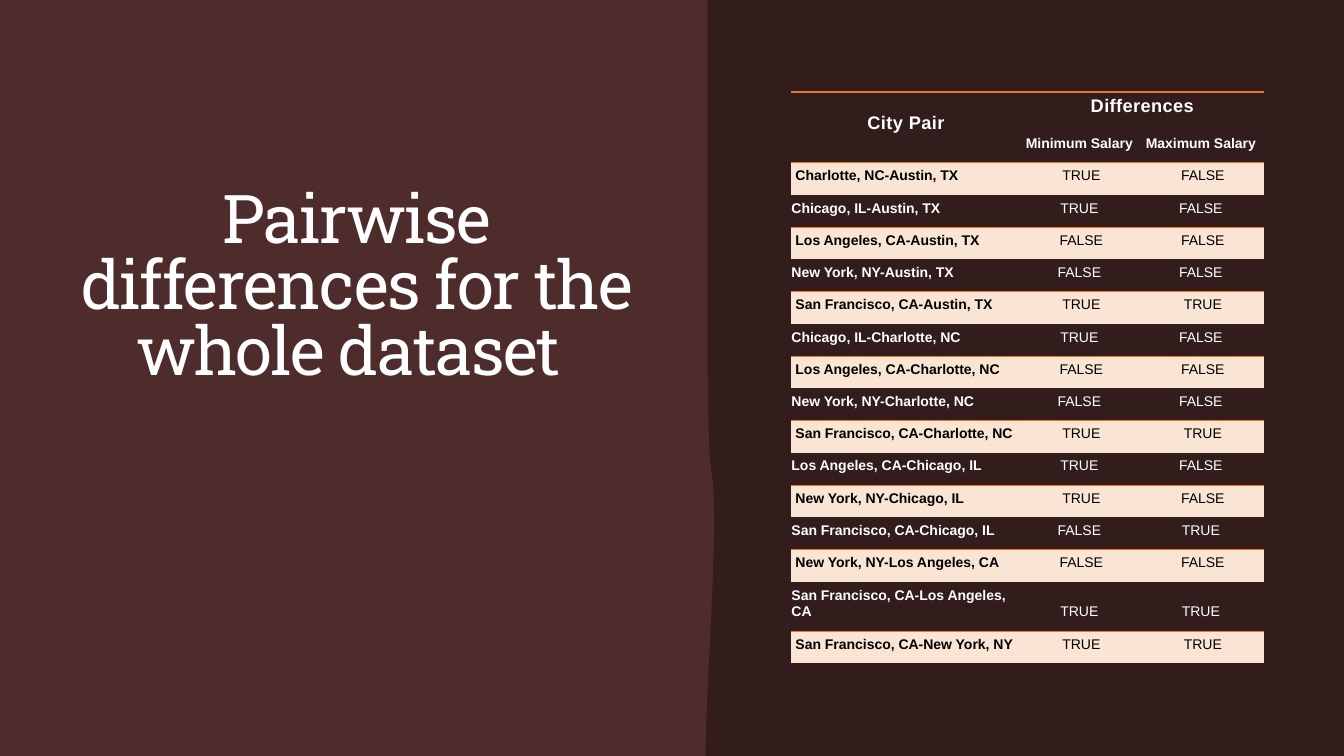
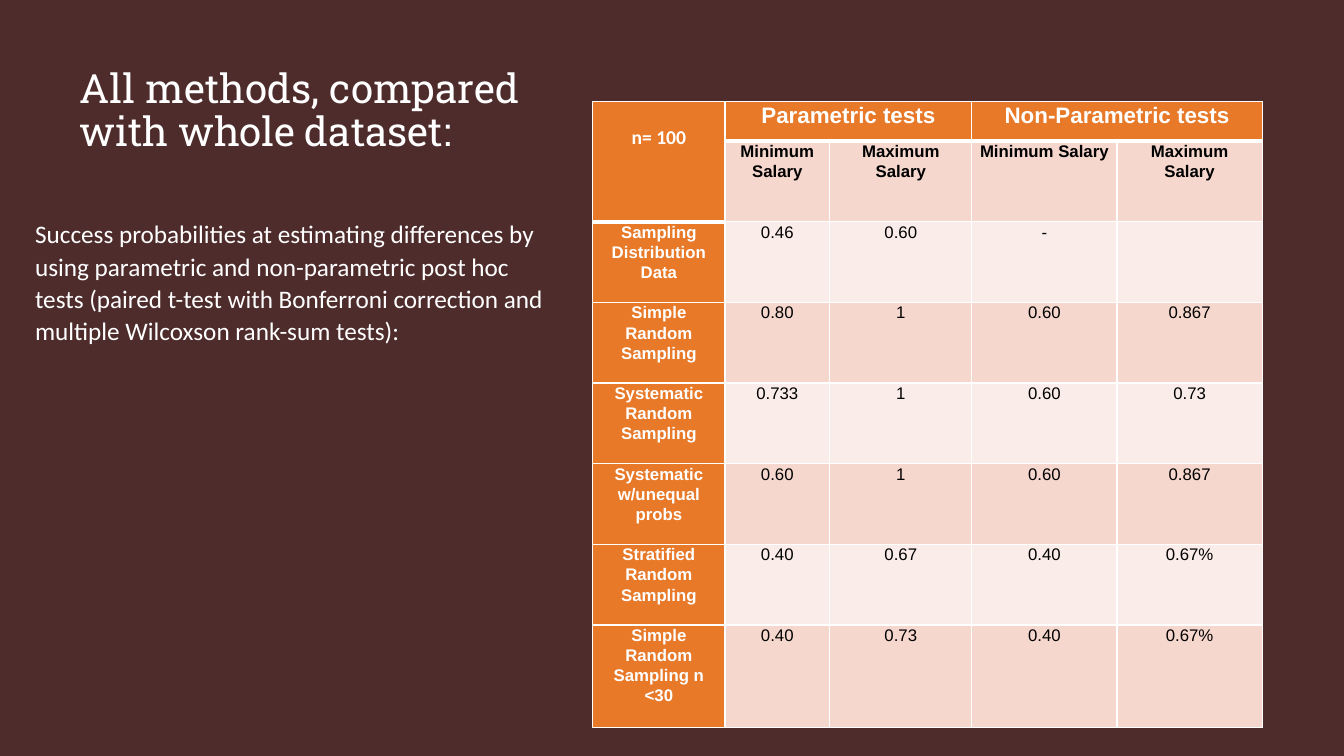
from lxml.etree import SubElement
from pptx import Presentation
from pptx.dml.color import RGBColor
from pptx.enum.text import MSO_ANCHOR, MSO_AUTO_SIZE, PP_ALIGN
from pptx.oxml.ns import qn
from pptx.util import Inches, Pt

COLORS = {
    "base": "4E2C2C",
    "dark": "321C1C",
    "white": "FFFFFF",
    "black": "000000",
    "orange": "E77929",
    "cream": "FAE4D4",
    "rose": "F6D7CD",
    "blush": "FAECE8",
}
NO_STYLE = "{2D5ABB26-0587-4C30-8999-92F81FD0307C}"
SIDES = ("L", "R", "T", "B")


def style_text(tf, text, size, color="white", font="Arial", bold=False,
               align=PP_ALIGN.LEFT, spacing=1.07, track=0):
    tf.text = text
    tf.word_wrap = True
    p = tf.paragraphs[0]
    p.alignment = align
    p.line_spacing = spacing
    for r in p.runs:
        r.font.size = Pt(size)
        r.font.name = font
        r.font.bold = bold
        r.font.color.rgb = RGBColor.from_string(COLORS[color])
        if track:
            r.font._element.set("spc", str(track))


def style_cell(cell, margins, anchor, borders, border_color, fill=None):
    cell.margin_left, cell.margin_top, cell.margin_right, cell.margin_bottom = map(Inches, margins)
    cell.vertical_anchor = anchor
    tcPr = cell._tc.get_or_add_tcPr()
    for side in SIDES:
        width = borders.get(side, 0)
        ln = SubElement(tcPr, qn(f"a:ln{side}"), w=str(Pt(width)))
        if width:
            line_fill = SubElement(ln, qn("a:solidFill"))
            SubElement(line_fill, qn("a:srgbClr"), val=COLORS[border_color])
        else:
            SubElement(ln, qn("a:noFill"))
    if fill:
        cell.fill.solid()
        cell.fill.fore_color.rgb = RGBColor.from_string(COLORS[fill])
    else:
        cell.fill.background()


prs = Presentation()
prs.slide_width = Inches(13.33)
prs.slide_height = Inches(7.5)
master_fill = prs.slide_master.background.fill
master_fill.solid()
master_fill.fore_color.rgb = RGBColor.from_string(COLORS["base"])

titles = [
    ("Pairwise differences for the whole dataset ", (0.79, 0.79, 5.49, 3.07),
     48, PP_ALIGN.CENTER, MSO_ANCHOR.BOTTOM, 0.82, -100),
    ("All methods, compared with whole dataset:", (0.79, 0.68, 4.93, 1.62),
     28.8, PP_ALIGN.LEFT, MSO_ANCHOR.TOP, 0.9, 0),
]
slides = []
for text, box, size, align, anchor, spacing, track in titles:
    s = prs.slides.add_slide(prs.slide_layouts[5])
    slides.append(s)
    title = s.shapes.title
    title.left, title.top, title.width, title.height = map(Inches, box)
    tf = title.text_frame
    style_text(tf, text, size, font="Roboto Slab", align=align, spacing=spacing, track=track)
    tf.auto_size = MSO_AUTO_SIZE.NONE
    tf.vertical_anchor = anchor
    tf.margin_left = tf.margin_top = tf.margin_right = tf.margin_bottom = 0

pairs_slide, methods_slide = slides

edge = [(13.33, 0), (13.33, 7.5), (7, 7.5), (7, 7.34)]
curves = [
    ((7, 7.34), (7.02, 6.53), (7.14, 5.06), (7.05, 4.64)),
    ((7.05, 4.64), (7, 4.29), (7.02, 2), (7.02, 0.24)),
]
steps = 16
for curve in curves:
    for i in range(1, steps + 1):
        t = i / steps
        weights = ((1 - t) ** 3, 3 * t * (1 - t) ** 2, 3 * t ** 2 * (1 - t), t ** 3)
        edge.append(tuple(sum(w * pt[axis] for w, pt in zip(weights, curve)) for axis in (0, 1)))
builder = pairs_slide.shapes.build_freeform(Inches(7.02), 0)
builder.add_line_segments([(Inches(x), Inches(y)) for x, y in edge], close=True)
panel = builder.convert_to_shape()
panel.shadow.inherit = False
panel.fill.solid()
panel.fill.fore_color.rgb = RGBColor.from_string(COLORS["dark"])
panel.line.fill.background()

pair_rows = [
    ("City Pair", "Differences", ""),
    ("", "Minimum Salary", "Maximum Salary"),
    ("Charlotte, NC-Austin, TX", "TRUE", "FALSE"),
    ("Chicago, IL-Austin, TX", "TRUE", "FALSE"),
    ("Los Angeles, CA-Austin, TX", "FALSE", "FALSE"),
    ("New York, NY-Austin, TX", "FALSE", "FALSE"),
    ("San Francisco, CA-Austin, TX", "TRUE", "TRUE"),
    ("Chicago, IL-Charlotte, NC", "TRUE", "FALSE"),
    ("Los Angeles, CA-Charlotte, NC", "FALSE", "FALSE"),
    ("New York, NY-Charlotte, NC", "FALSE", "FALSE"),
    ("San Francisco, CA-Charlotte, NC", "TRUE", "TRUE"),
    ("Los Angeles, CA-Chicago, IL", "TRUE", "FALSE"),
    ("New York, NY-Chicago, IL", "TRUE", "FALSE"),
    ("San Francisco, CA-Chicago, IL", "FALSE", "TRUE"),
    ("New York, NY-Los Angeles, CA", "FALSE", "FALSE"),
    ("San Francisco, CA-Los Angeles, CA", "TRUE", "TRUE"),
    ("San Francisco, CA-New York, NY", "TRUE", "TRUE"),
]
method_rows = [
    ("n= 100", "Parametric tests", "", "Non-Parametric tests", ""),
    ("", "Minimum Salary", "Maximum Salary", "Minimum Salary", "Maximum Salary"),
    ("Sampling Distribution Data", "0.46", "0.60", "-", ""),
    ("Simple Random Sampling", "0.80", "1", "0.60", "0.867"),
    ("Systematic Random Sampling", "0.733", "1", "0.60", "0.73"),
    ("Systematic w/unequal probs", "0.60", "1", "0.60", "0.867"),
    ("Stratified Random Sampling", "0.40", "0.67", "0.40", "0.67%"),
    ("Simple Random Sampling n <30", "0.40", "0.73", "0.40", "0.67%"),
]
table_specs = [
    (pairs_slide, pair_rows, (7.85, 0.91), (2.28, 1.19, 1.22),
     [0.37] + [0.32] * 14 + [0.49, 0.32]),
    (methods_slide, method_rows, (5.88, 1.01), (1.31, 1.04, 1.41, 1.44, 1.44),
     [0.39] + [0.8] * 6 + [1.02]),
]
tables = []
for s, rows, (left, top), widths, heights in table_specs:
    frame = s.shapes.add_table(len(rows), len(widths), Inches(left), Inches(top),
                               Inches(sum(widths)), Inches(sum(heights)))
    table = frame.table
    tables.append(table)
    table.first_row = table.horz_banding = False
    table._tbl.tblPr.find(qn("a:tableStyleId")).text = NO_STYLE
    for column, width in zip(table.columns, widths):
        column.width = Inches(width)
    for row, height in zip(table.rows, heights):
        row.height = Inches(height)
    table.cell(0, 0).merge(table.cell(1, 0))
    for c in range(1, len(widths), 2):
        table.cell(0, c).merge(table.cell(0, c + 1))

pairs, methods = tables
for i, row in enumerate(pair_rows):
    for j, text in enumerate(row):
        cell = pairs.cell(i, j)
        filled = i >= 2 and i % 2 == 0
        borders = {}
        if i == 0:
            borders["T"] = 1.5
        if i % 2 or (i, j) == (0, 0):
            borders["B"] = 0.75
        margins = (0.04 if filled else 0, 0.01, 0.04 if i else 0.01, 0.11)
        anchor = MSO_ANCHOR.BOTTOM if i else MSO_ANCHOR.MIDDLE
        style_cell(cell, margins, anchor, borders, "orange", "cream" if filled else None)
        style_text(cell.text_frame, text, 10 if i else 13,
                   color="black" if filled else "white", bold=i < 2 or j == 0,
                   align=PP_ALIGN.LEFT if i >= 2 and j == 0 else PP_ALIGN.CENTER,
                   track=0 if i else 30)

for i, row in enumerate(method_rows):
    for j, text in enumerate(row):
        cell = methods.cell(i, j)
        corner = (i, j) == (0, 0)
        header = i == 0 or j == 0
        header_rows = 1 if j else 2
        borders = dict.fromkeys(SIDES, 1)
        if i < header_rows:
            borders["B"] = 3
        if i == header_rows:
            borders["T"] = 3
        fill = "orange" if header else "rose" if i % 2 else "blush"
        style_cell(cell, (0.07, 0.24 if corner else 0, 0.07, 0), MSO_ANCHOR.TOP,
                   borders, "white", fill)
        style_text(cell.text_frame, text, 14 if corner else 12 if i else 16,
                   color="white" if header else "black",
                   font="Calibri" if corner else "Arial", bold=header or i == 1,
                   align=PP_ALIGN.CENTER, spacing=1 if corner else 1.07)

sp = methods_slide.shapes.add_textbox(Inches(0.25), Inches(2.1), Inches(5.33), Inches(1.38))
style_text(sp.text_frame,
           "Success probabilities at estimating differences by using parametric and "
           "non-parametric post hoc tests (paired t-test with Bonferroni correction and "
           "multiple Wilcoxson rank-sum tests):", 18, font="Calibri")
sp.text_frame.paragraphs[0].space_after = Pt(8)

prs.save("out.pptx")
